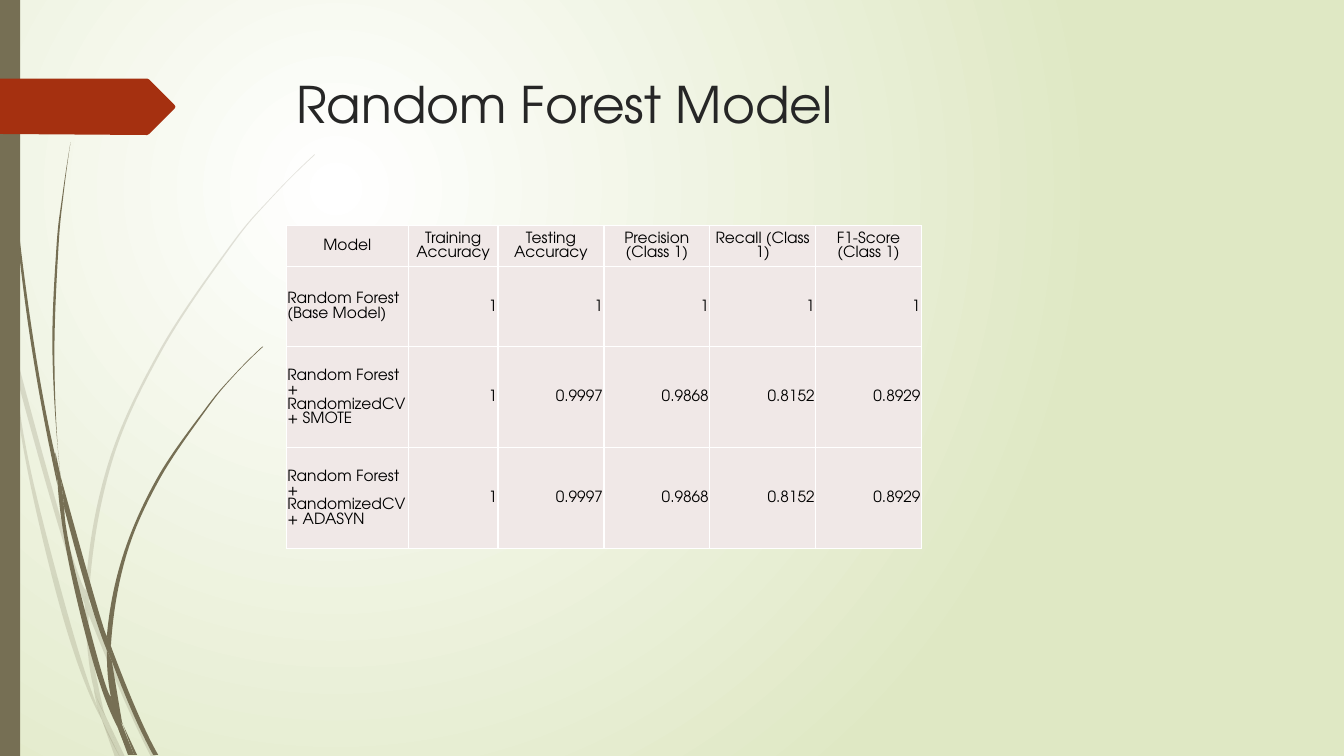
from lxml.etree import SubElement
from pptx import Presentation
from pptx.dml.color import RGBColor
from pptx.enum.shapes import MSO_SHAPE as Shape
from pptx.enum.text import MSO_ANCHOR as Anchor, PP_ALIGN as Align
from pptx.oxml.ns import qn
from pptx.util import Pt

PX = 9144  # 100 px to the inch
FONT = "TeX Gyre Adventor"
WHITE = RGBColor(0xFF, 0xFF, 0xFF)
BLACK = RGBColor(0x00, 0x00, 0x00)
INK = RGBColor(0x26, 0x26, 0x26)
PALE_GREEN = RGBColor(0xDF, 0xE8, 0xC4)
OLIVE = RGBColor(0x76, 0x6F, 0x54)
RUST = RGBColor(0xA5, 0x30, 0x10)
BLUSH = RGBColor(0xF0, 0xE8, 0xE7)

# Every piece of grass has one edge going out and one coming back.
FAINT_GRASS = [
    ([(11, 350), (9, 322), (0, 282)], [(0, 299), (10, 344)]),
    ([(14, 345), (62, 520), (85, 586)], [(84, 599), (58, 522), (17, 376)]),
    ([(88, 596), (127, 692), (155, 751)], [(150, 751), (123, 694), (88, 610)]),
    ([(105, 711), (124, 751)], [(119, 751)]),
    ([(11, 350), (28, 470), (65, 621), (101, 714)],
     [(99, 707), (70, 619), (31, 469), (17, 376)]),
    ([(84, 599), (87, 646), (93, 683), (105, 711)],
     [(103, 706), (91, 646), (88, 610)]),
    ([(312, 153), (268, 197), (228, 244), (158, 348), (107, 461), (85, 586)],
     [(88, 596), (110, 462), (160, 349), (229, 245), (268, 198), (312, 154)]),
    ([(101, 714), (114, 751)], [(119, 751)]),
    ([(88, 610), (88, 596)], [(85, 586), (84, 599)]),
    ([(93, 683), (101, 714), (119, 751)], [(105, 711), (96, 692)]),
]
BOLD_GRASS = [
    ([(3, 0), (7, 110), (17, 233), (33, 355), (57, 481)],
     [(55, 453), (36, 355), (19, 232), (8, 109), (4, 0)]),
    ([(60, 472), (93, 590), (106, 631)], [(106, 645), (88, 592), (64, 505)]),
    ([(110, 641), (136, 706), (157, 749)], [(152, 749), (132, 708), (111, 656)]),
    ([(57, 477), (68, 557), (93, 659), (117, 722)],
     [(110, 691), (98, 657), (72, 556), (64, 505)]),
    ([(70, 141), (62, 193), (56, 245), (52, 349), (60, 472)],
     [(58, 453), (54, 349), (58, 245), (63, 193), (70, 141)]),
    ([(122, 719), (136, 749)], [(133, 749)]),
    ([(55, 449), (60, 472)], [(64, 505), (57, 477), (55, 453)]),
    ([(260, 344), (231, 373), (204, 405), (156, 474), (122, 551), (106, 631)],
     [(110, 641), (125, 552), (158, 476), (205, 406), (231, 374), (261, 344)]),
    ([(117, 722), (131, 749)], [(127, 749)]),
    ([(106, 645), (110, 691), (122, 719)], [(121, 716), (111, 656)]),
    ([(106, 631), (110, 641), (111, 656)], [(106, 645)]),
    ([(110, 691), (117, 722), (130, 749)], [(133, 749), (116, 706)]),
]
TITLE_TAG = [(0, 78), (146, 78), (148, 79), (173, 104), (174, 106),
             (173, 108), (148, 133), (146, 134), (0, 133)]

COLUMN_WIDTHS = [121, 89, 105, 105, 105, 105]
ROW_HEIGHTS = [40, 80, 100, 100]
SCORES = [
    ["Model", "Training Accuracy", "Testing Accuracy", "Precision (Class 1)",
     "Recall (Class 1)", "F1-Score (Class 1)"],
    ["Random Forest (Base Model)", "1", "1", "1", "1", "1"],
    ["Random Forest + RandomizedCV + SMOTE",
     "1", "0.9997", "0.9868", "0.8152", "0.8929"],
    ["Random Forest + RandomizedCV + ADASYN",
     "1", "0.9997", "0.9868", "0.8152", "0.8929"],
]


def paint_background(slide):
    """Fill the slide with a radial gradient, white at its upper left."""
    fill = slide.background.fill
    fill.gradient()
    for stop, color in zip(fill.gradient_stops, (WHITE, PALE_GREEN)):
        stop.color.rgb = color
    gradient = slide.background._cSld.find(".//" + qn("a:gradFill"))
    gradient.remove(gradient.find(qn("a:lin")))
    circle = SubElement(gradient, qn("a:path"), path="circle")
    SubElement(circle, qn("a:fillToRect"),
               l="50000", t="50000", r="100000", b="100000")


def paint(shape, color, alpha=100):
    shape.shadow.inherit = False
    shape.fill.solid()
    shape.fill.fore_color.rgb = color
    shape.line.fill.background()
    if alpha < 100:
        rgb = shape._element.spPr.find(".//" + qn("a:srgbClr"))
        SubElement(rgb, qn("a:alpha"), val=str(alpha * 1000))


def add_outline(slide, points, color, alpha=100):
    start, *rest = [(x * PX, y * PX) for x, y in points]
    builder = slide.shapes.build_freeform(*start)
    builder.add_line_segments(rest, close=True)
    outline = builder.convert_to_shape()
    paint(outline, color, alpha)
    return outline


def beyond(a, b, c):
    """Return the point that carries the curve c, b, a one step further."""
    return tuple(3 * p - 3 * q + r for p, q, r in zip(a, b, c))


def bend(lines, points):
    """Turn the lines between the points of an edge into smooth curves."""
    if len(points) < 3:
        return
    padded = [beyond(*points[:3]), *points, beyond(*points[:-4:-1])]
    for line, a, b, c, d in zip(lines, padded, padded[1:], padded[2:], padded[3:]):
        leave = [q + (r - p) / 6 for p, q, r in zip(a, b, c)]
        arrive = [q - (r - p) / 6 for p, q, r in zip(b, c, d)]
        line.tag = qn("a:cubicBezTo")
        for place, (x, y) in enumerate((leave, arrive)):
            handle = line.makeelement(qn("a:pt"), x=str(round(x)), y=str(round(y)))
            line.insert(place, handle)


def add_grass(slide, pieces, alpha):
    for out, back in pieces:
        blade = add_outline(slide, out + back, OLIVE, alpha)
        steps = list(blade._element.spPr.find(".//" + qn("a:path")))
        points = [(int(pt.get("x")), int(pt.get("y")))
                  for step in steps for pt in step.findall(qn("a:pt"))]
        turn, end = len(out), len(points)
        bend(steps[1:turn], points[:turn])
        bend(steps[turn + 1:end], points[turn:])


def style_text(paragraph, size, color):
    for run in paragraph.runs:
        run.font.name = FONT
        run.font.size = Pt(size)
        run.font.color.rgb = color


def set_title(slide, wording):
    title = slide.shapes.title
    title.left, title.top, title.width, title.height = (
        n * PX for n in (284, 68, 975, 140))
    frame = title.text_frame
    frame.text = wording
    frame.vertical_anchor = Anchor.TOP
    frame.paragraphs[0].alignment = Align.LEFT
    style_text(frame.paragraphs[0], 36, INK)
    slide.shapes._spTree.append(title._element)  # in front of the decoration


def add_borders(cell):
    properties = cell._tc.get_or_add_tcPr()
    for position, side in enumerate(("a:lnL", "a:lnR", "a:lnT", "a:lnB")):
        border = properties.makeelement(qn(side), w=str(Pt(1)))
        properties.insert(position, border)
        solid = SubElement(border, qn("a:solidFill"))
        SubElement(solid, qn("a:srgbClr"), val=str(WHITE))


def fill_cell(cell, wording, alignment):
    cell.text = wording
    cell.margin_left = cell.margin_right = cell.margin_top = PX
    cell.margin_bottom = 0
    cell.vertical_anchor = Anchor.MIDDLE
    cell.fill.solid()
    cell.fill.fore_color.rgb = BLUSH
    add_borders(cell)
    paragraph = cell.text_frame.paragraphs[0]
    paragraph.alignment = alignment
    style_text(paragraph, 11, BLACK)


def add_score_table(slide, left, top):
    table = slide.shapes.add_table(
        len(SCORES), len(COLUMN_WIDTHS), left * PX, top * PX,
        sum(COLUMN_WIDTHS) * PX, sum(ROW_HEIGHTS) * PX).table
    table.first_row = table.horz_banding = False
    for column, width in zip(table.columns, COLUMN_WIDTHS):
        column.width = width * PX
    for r, (row, height) in enumerate(zip(table.rows, ROW_HEIGHTS)):
        row.height = height * PX
        for c, wording in enumerate(SCORES[r]):
            alignment = (Align.CENTER if r == 0
                         else Align.LEFT if c == 0 else Align.RIGHT)
            fill_cell(table.cell(r, c), wording, alignment)


def main():
    deck = Presentation()
    deck.slide_width, deck.slide_height = 1333 * PX, 750 * PX
    slide = deck.slides.add_slide(deck.slide_layouts[5])
    paint_background(slide)
    add_grass(slide, FAINT_GRASS, alpha=20)
    add_grass(slide, BOLD_GRASS, alpha=100)
    side_bar = slide.shapes.add_shape(Shape.RECTANGLE, 0, 0, 20 * PX, 750 * PX)
    paint(side_bar, OLIVE)
    add_outline(slide, TITLE_TAG, RUST)
    set_title(slide, "Random Forest Model")
    add_score_table(slide, 284, 224)
    deck.save("out.pptx")


if __name__ == "__main__":
    main()
